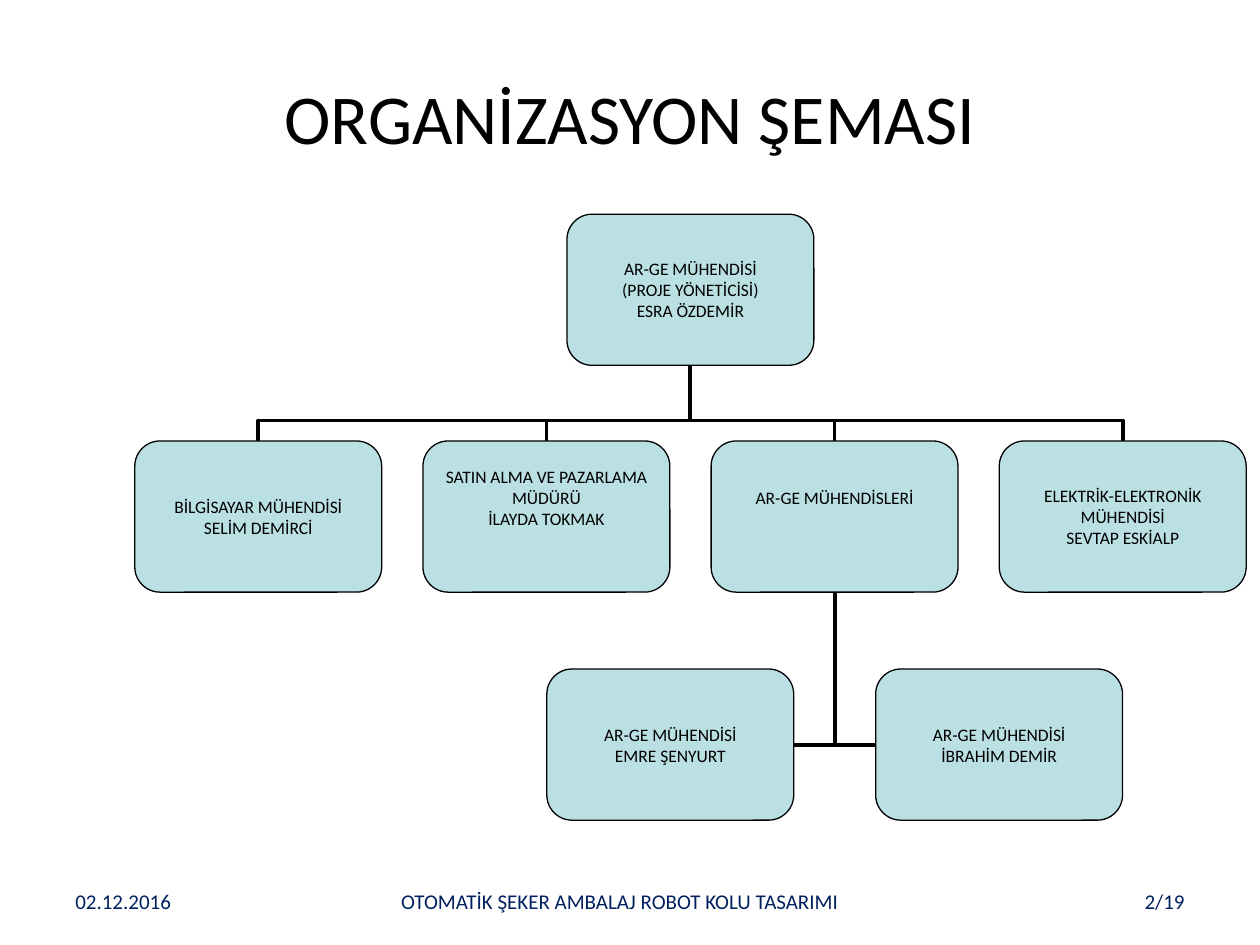
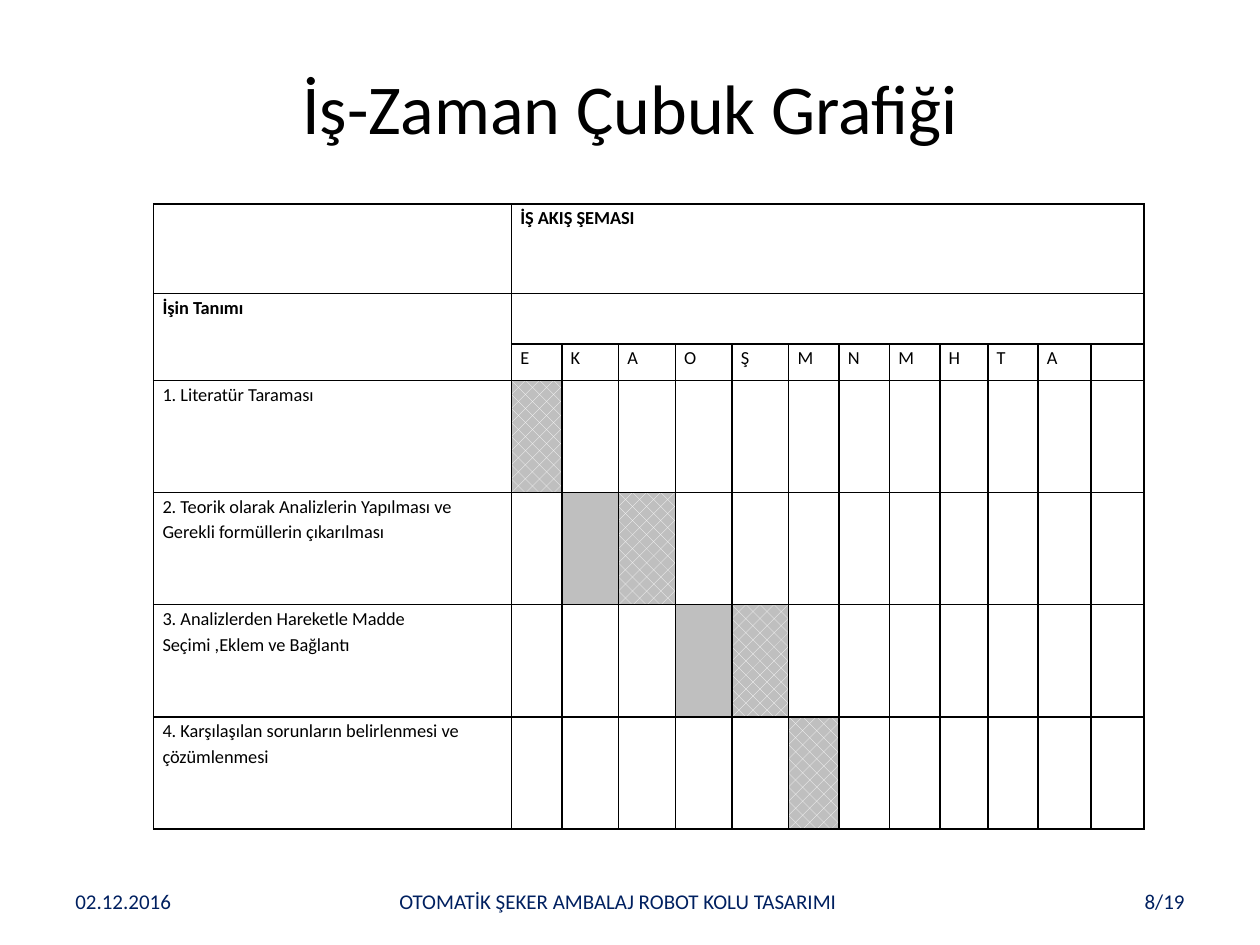
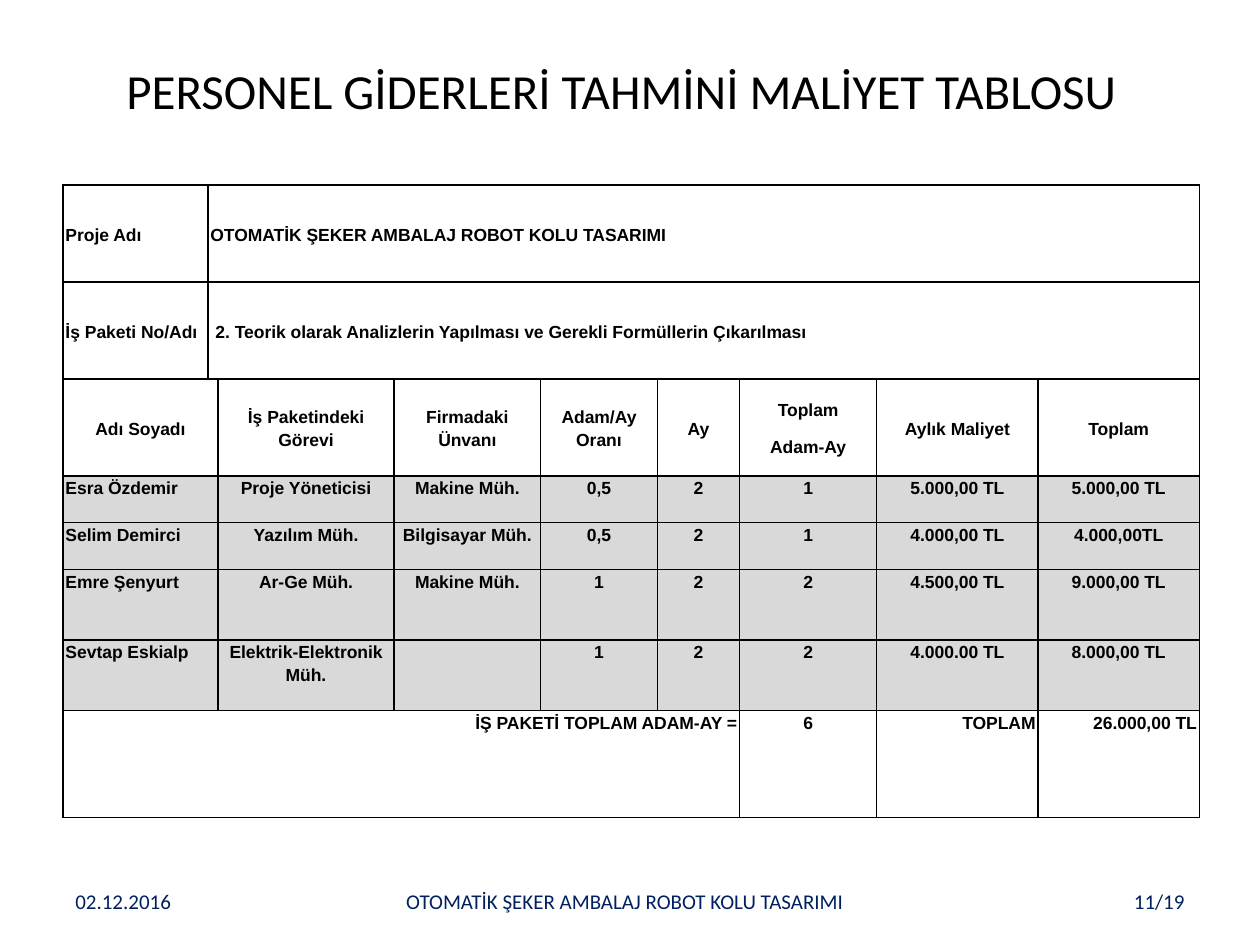
"""Build three project slides: organisation chart, work schedule and staff costs."""
from lxml import etree
from pptx import Presentation
from pptx import util as u
from pptx.dml import color
from pptx.enum import dml, shapes, text
from pptx.oxml import ns

BLACK, WHITE, NAVY = "000000", "FFFFFF", "002060"
TEAL, GREY, PALE = "BBE0E3", "BFBFBF", "D9D9D9"
LEFT, CENTER, RIGHT = text.PP_ALIGN.LEFT, text.PP_ALIGN.CENTER, text.PP_ALIGN.RIGHT
MIDDLE = text.MSO_ANCHOR.MIDDLE
PROJECT = "OTOMATİK ŞEKER AMBALAJ ROBOT KOLU TASARIMI"


def rgb(value):
    """Turn a hex string into a colour."""
    return color.RGBColor.from_string(value)


def write(tf, content, size=10, font="Calibri", fill=BLACK, bold=False,
          align=LEFT, line=1.0, before=0, after=0):
    """Fill a text frame, one paragraph for each line of content."""
    tf.clear()
    tf.word_wrap = True
    for i, words in enumerate(content.split("\n")):
        p = tf.add_paragraph() if i else tf.paragraphs[0]
        p.alignment, p.line_spacing = align, line
        p.space_before, p.space_after = u.Pt(before), u.Pt(after)
        if not words:
            etree.SubElement(p._p, ns.qn("a:endParaRPr"), sz=str(int(size * 100)))
            continue
        r = p.add_run()
        r.text = words
        r.font.size, r.font.name, r.font.bold = u.Pt(size), font, bold
        r.font.color.rgb = rgb(fill)


prs = Presentation()
prs.slide_width, prs.slide_height = u.Inches(10), u.Inches(7.5)

pages = [
    ("ORGANİZASYON ŞEMASI", 40, (0.5, 0.3, 9, 1.25), "2/19", (2.56, 4.72)),
    ("İş-Zaman Çubuk Grafiği", 40, (0.5, 0.3, 9, 1.09), "8/19", (2.64, 4.53)),
    ("PERSONEL GİDERLERİ TAHMİNİ MALİYET TABLOSU", 28, (0.43, 0.29, 9, 0.85),
     "11/19", (1.85, 6.22)),
]
for title, size, box, number, (left, width) in pages:
    s = prs.slides.add_slide(prs.slide_layouts[5])
    sp = s.shapes.title
    sp.left, sp.top, sp.width, sp.height = map(u.Inches, box)
    sp.text_frame.vertical_anchor = MIDDLE
    write(sp.text_frame, title, size=size, align=CENTER)
    footers = [("02.12.2016", 0.5, 2.33, LEFT), (PROJECT, left, width, CENTER),
               (number, 7.17, 2.33, RIGHT)]
    for words, x, w, align in footers:
        tf = s.shapes.add_textbox(u.Inches(x), u.Inches(6.95), u.Inches(w), u.Inches(0.4)).text_frame
        tf.vertical_anchor = MIDDLE
        write(tf, words, size=12, fill=NAVY, align=align)

org, schedule, costs = prs.slides

BOX_W, BOX_H = 1.96, 1.2
HEAD_X, HEAD_Y, TEAM_Y, ENGINEER_Y = 4.5, 1.7, 3.5, 5.31
team_x = [1.07 + 2.287 * i for i in range(4)]
engineer_x = [4.34, 6.95]
head_mid = HEAD_X + BOX_W / 2
lead_mid = team_x[2] + BOX_W / 2

links = []
half_gap = (TEAM_Y - HEAD_Y - BOX_H) / 2
for x in team_x:
    mid = x + BOX_W / 2
    cx, cy, reach = (mid + head_mid) / 2, TEAM_Y - half_gap, abs(mid - head_mid) / 2
    side = 1 if mid > head_mid else -1
    links.append(((cx + side * half_gap, cy - reach, cx - side * half_gap, cy + reach),
                  "bentConnector3", 90 if side > 0 else 270))
for x in (engineer_x[0] + BOX_W, engineer_x[1]):
    links.append(((x, ENGINEER_Y + BOX_H / 2, lead_mid, TEAM_Y + BOX_H), "bentConnector2", 0))
for ends, preset, turn in links:
    c = org.shapes.add_connector(shapes.MSO_CONNECTOR.ELBOW, *map(u.Inches, ends))
    c.line.color.rgb, c.line.width = rgb(BLACK), u.Pt(2.25)
    pr = c._element.spPr
    etree.SubElement(pr, ns.qn("a:effectLst"))
    geom = pr.find(ns.qn("a:prstGeom"))
    geom.set("prst", preset)
    if turn:
        pr.find(ns.qn("a:xfrm")).set("rot", str(turn * 60000))
        etree.SubElement(geom.find(ns.qn("a:avLst")), ns.qn("a:gd"), name="adj1", fmla="val 27100")

people = [
    (HEAD_X, HEAD_Y, "AR-GE MÜHENDİSİ\n(PROJE YÖNETİCİSİ)\nESRA ÖZDEMİR", 0),
    (team_x[0], TEAM_Y, "BİLGİSAYAR MÜHENDİSİ\nSELİM DEMİRCİ", 0),
    (team_x[1], TEAM_Y, "SATIN ALMA VE PAZARLAMA MÜDÜRÜ\nİLAYDA TOKMAK", 0.3),
    (team_x[2], TEAM_Y, "AR-GE MÜHENDİSLERİ", 0.3),
    (team_x[3], TEAM_Y, "ELEKTRİK-ELEKTRONİK MÜHENDİSİ\nSEVTAP ESKİALP", 0),
    (engineer_x[0], ENGINEER_Y, "AR-GE MÜHENDİSİ\nEMRE ŞENYURT", 0),
    (engineer_x[1], ENGINEER_Y, "AR-GE MÜHENDİSİ\nİBRAHİM DEMİR", 0),
]
for x, y, words, bottom in people:
    sp = org.shapes.add_shape(shapes.MSO_SHAPE.ROUNDED_RECTANGLE, u.Inches(x), u.Inches(y),
                              u.Inches(BOX_W), u.Inches(BOX_H))
    sp.shadow.inherit = False
    sp.fill.solid()
    sp.fill.fore_color.rgb = rgb(TEAL)
    sp.line.color.rgb, sp.line.width = rgb(BLACK), u.Pt(0.75)
    tf = sp.text_frame
    tf.margin_left = tf.margin_right = tf.margin_top = 0
    tf.margin_bottom = u.Inches(bottom)
    tf.vertical_anchor = MIDDLE
    write(tf, words, align=CENTER)

staff_starts = [0, *range(2, 9)]
grids = [
    (schedule, (1.22, 1.62), 0.07,
     [2.84, 0.4, 0.45, 0.45, 0.45, 0.45, 0.4, 0.4, 0.4, 0.38, 0.4, 0.42, 0.42],
     [0.71, 0.4, 0.29] + [0.89] * 4,
     [[0, 1]] * 2 + [range(13)] * 5),
    (costs, (0.5, 1.47), 0.02,
     [1.15, 0.05, 1.4, 1.16, 0.93, 0.65, 1.09, 1.28, 1.28],
     [0.77] * 3 + [0.37] * 2 + [0.56] * 2 + [0.85],
     [[0, 1]] * 2 + [staff_starts] * 5 + [[0, 6, 7, 8]]),
]
tables = []
for s, (x, y), inset, widths, heights, starts in grids:
    tbl = s.shapes.add_table(len(heights), len(widths), u.Inches(x), u.Inches(y),
                             u.Inches(sum(widths)), u.Inches(sum(heights))).table
    tbl.first_row = tbl.horz_banding = False
    for col, w in zip(tbl.columns, widths):
        col.width = u.Inches(w)
    for row, h in zip(tbl.rows, heights):
        row.height = u.Inches(h)
    for cell in tbl.iter_cells():
        cell.margin_left = cell.margin_right = u.Inches(inset)
        cell.margin_top = cell.margin_bottom = 0
        cell.fill.solid()
        cell.fill.fore_color.rgb = rgb(WHITE)
        write(cell.text_frame, "")
        for i, edge in enumerate(("a:lnL", "a:lnR", "a:lnT", "a:lnB")):
            ln = etree.Element(ns.qn(edge), w=str(u.Pt(1)))
            paint = etree.SubElement(ln, ns.qn("a:solidFill"))
            etree.SubElement(paint, ns.qn("a:srgbClr"), val=BLACK)
            cell._tc.get_or_add_tcPr().insert(i, ln)
    for r, begin in enumerate(starts):
        for first, following in zip(begin, [*begin[1:], len(widths)]):
            if following - first > 1:
                tbl.cell(r, first).merge(tbl.cell(r, following - 1))
    tables.append(tbl)

plan, budget = tables

plan.cell(1, 0).merge(plan.cell(2, 0))
plan_text = {(0, 1): "İŞ AKIŞ ŞEMASI", (1, 0): "İşin Tanımı"}
plan_text.update({(2, c): month for c, month in enumerate("EKAOŞMNMHTA", 1)})
jobs = [
    "1. Literatür Taraması",
    "2. Teorik olarak Analizlerin Yapılması ve Gerekli formüllerin çıkarılması",
    "3. Analizlerden Hareketle Madde Seçimi ,Eklem ve Bağlantı",
    "4. Karşılaşılan sorunların belirlenmesi ve çözümlenmesi",
]
plan_text.update({(r, 0): job for r, job in enumerate(jobs, 3)})
for (r, c), words in plan_text.items():
    write(plan.cell(r, c).text_frame, words, size=10.5, bold=r < 2, line=1.15, after=8)
plan.cell(5, 0).margin_right = u.Inches(0.6)
for r, c in [(4, 2), (5, 4)]:
    plan.cell(r, c).fill.fore_color.rgb = rgb(GREY)
for r, c in [(3, 1), (4, 3), (5, 5), (6, 6)]:
    fill = plan.cell(r, c).fill
    fill.patterned()
    fill.pattern = dml.MSO_PATTERN.PERCENT_25
    fill.fore_color.rgb, fill.back_color.rgb = rgb(WHITE), rgb(GREY)

budget_rows = [
    ["Proje Adı", PROJECT],
    ["İş Paketi No/Adı", "2. Teorik olarak Analizlerin Yapılması ve Gerekli Formüllerin Çıkarılması"],
    ["Adı Soyadı", "İş Paketindeki Görevi", "Firmadaki Ünvanı", "Adam/Ay Oranı", "Ay",
     "Toplam\nAdam-Ay", "Aylık Maliyet", "Toplam"],
    ["Esra Özdemir", "Proje Yöneticisi", "Makine Müh.", "0,5", "2", "1", "5.000,00 TL", "5.000,00 TL"],
    ["Selim Demirci", "Yazılım Müh.", "Bilgisayar Müh.", "0,5", "2", "1", "4.000,00 TL", "4.000,00TL"],
    ["Emre Şenyurt", "Ar-Ge Müh.", "Makine Müh.", "1", "2", "2", "4.500,00 TL", "9.000,00 TL"],
    ["Sevtap Eskialp", "Elektrik-Elektronik Müh.", "", "1", "2", "2", "4.000.00 TL", "8.000,00 TL"],
    ["İŞ PAKETİ TOPLAM ADAM-AY =", "6", "TOPLAM", "26.000,00 TL"],
]
for r, (begin, values) in enumerate(zip(grids[1][-1], budget_rows)):
    for c, words in zip(begin, values):
        cell = budget.cell(r, c)
        if r < 3:
            cell.vertical_anchor = MIDDLE
        elif r < 7:
            cell.fill.fore_color.rgb = rgb(PALE)
        if r == 7:
            align = CENTER if c == 6 else RIGHT
        else:
            align = LEFT if r < 2 or (c == 0 and r > 2) else CENTER
        before, after = (0, 8) if r < 3 else (4.8, 3.6)
        if words:
            write(cell.text_frame, words, font="Arial", bold=True, align=align,
                  line=1.15, before=before, after=after)
budget.cell(1, 1).margin_left = u.Inches(0.06)

prs.save("out.pptx")
